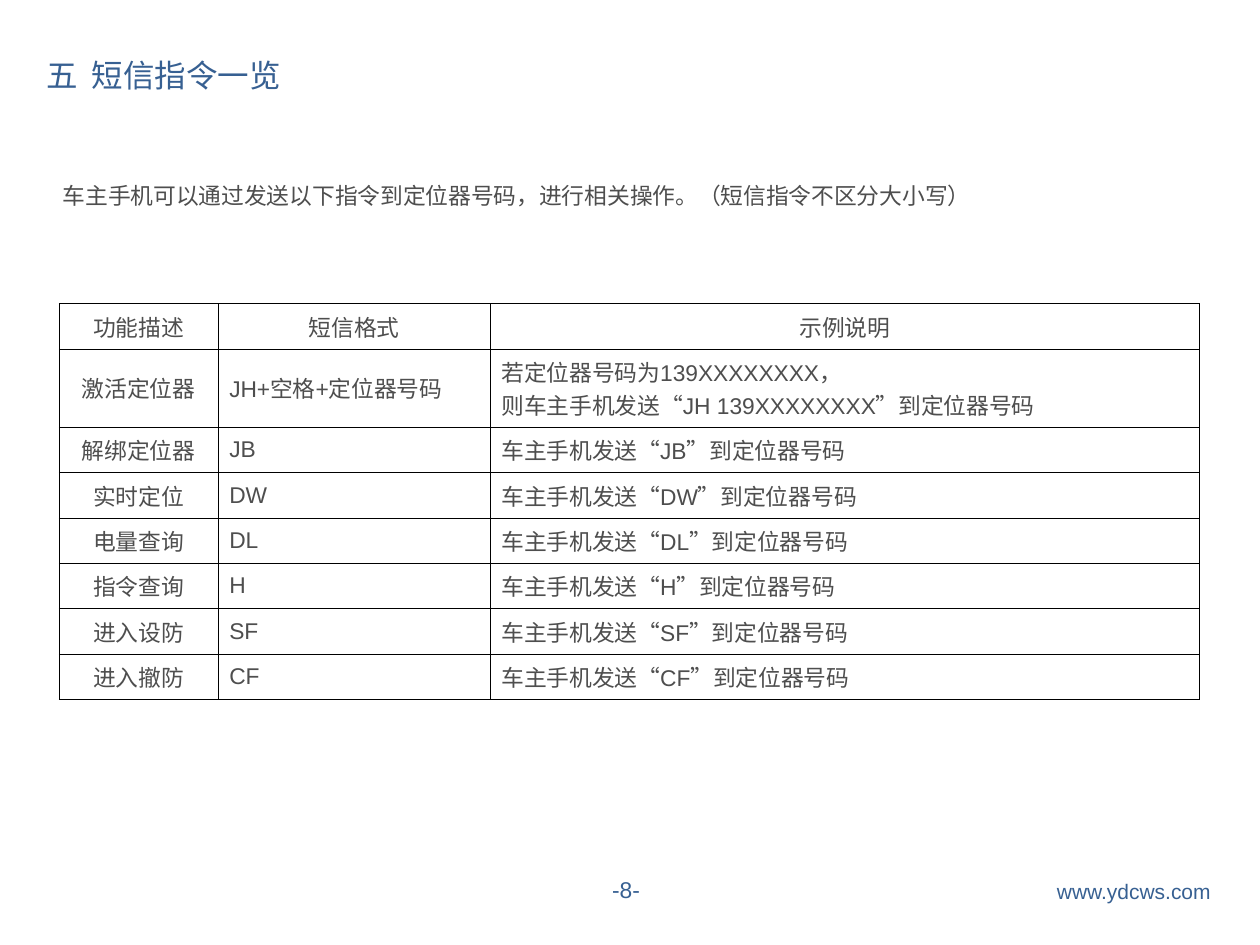
"""Build the slide listing the SMS commands of a vehicle locator."""
import pptx
import pptx.dml.color
import pptx.enum.text
import pptx.oxml
import pptx.oxml.ns
import pptx.util
from lxml import etree

Inches = pptx.util.Inches
ALIGN = pptx.enum.text.PP_ALIGN
ANCHOR = pptx.enum.text.MSO_ANCHOR
qn = pptx.oxml.ns.qn

THEME = {
    "latin": "Arial", "chinese": "Noto Sans CJK SC",
    "accent": "376092", "ink": "4E4E4E", "border": "000000",
    "title": 18, "body": 13, "link": 12, "border_width": 0.45,
}

TITLE = "五\t短信指令一览"
TITLE_TAB = 0.36
INTRO = "车主手机可以通过发送以下指令到定位器号码，进行相关操作。（短信指令不区分大小写）"
HEADER = ("功能描述", "短信格式", "示例说明")
ACTIVATION = (
    "激活定位器",
    "JH+空格+定位器号码",
    "若定位器号码为139XXXXXXXX，\n则车主手机发送“JH 139XXXXXXXX”到定位器号码",
)
COMMANDS = [
    ("解绑定位器", "JB"), ("实时定位", "DW"), ("电量查询", "DL"),
    ("指令查询", "H"), ("进入设防", "SF"), ("进入撤防", "CF"),
]
ROWS = [HEADER, ACTIVATION] + [
    (name, code, f"车主手机发送“{code}”到定位器号码") for name, code in COMMANDS
]
TABLE_LEFT, TABLE_TOP = 0.47, 2.41
COLUMN_WIDTHS = (1.26, 2.16, 5.63)
ROW_HEIGHT, TALL_ROW_HEIGHT = 0.35, 0.54

# text, left, top, width, height, font, size, colour, anchor, wraps
TEXTS = [
    (INTRO, 0.4, 1.39, 7.4, 0.32, "chinese", "body", "ink", ANCHOR.TOP, False),
    (TITLE, 0.27, 0.32, 3.39, 0.55, "chinese", "title", "accent", ANCHOR.MIDDLE, True),
    ("-8-", 4.76, 6.9, 0.42, 0.32, "latin", "body", "accent", ANCHOR.TOP, False),
    ("www.ydcws.com", 8.29, 6.92, 1.43, 0.3, "latin", "link", "accent", ANCHOR.TOP, False),
]


def style_text(frame, font, size, colour, align=ALIGN.LEFT):
    for para in frame.paragraphs:
        para.alignment = align
        for span in para.runs:
            span.font.size = pptx.util.Pt(THEME[size])
            span.font.name = THEME[font]
            span.font.color.rgb = pptx.dml.color.RGBColor.from_string(THEME[colour])
            east_asian = etree.SubElement(span.font._element, qn("a:ea"))
            east_asian.set("typeface", THEME["chinese"])


def add_text(page, text, left, top, width, height, font, size, colour, anchor, wraps):
    box = page.shapes.add_textbox(*map(Inches, (left, top, width, height)))
    frame = box.text_frame
    frame.word_wrap = wraps
    frame.vertical_anchor = anchor
    if not wraps:
        frame.auto_size = pptx.enum.text.MSO_AUTO_SIZE.SHAPE_TO_FIT_TEXT
    frame.text = text
    if "\t" in text:
        properties = frame.paragraphs[0]._p.get_or_add_pPr()
        tabs = etree.SubElement(properties, qn("a:tabLst"))
        etree.SubElement(tabs, qn("a:tab"), pos=str(Inches(TITLE_TAB)), algn="l")
    style_text(frame, font, size, colour)


def add_borders(cell):
    properties = cell._tc.get_or_add_tcPr()
    width = str(pptx.util.Pt(THEME["border_width"]))
    for side in ("a:lnL", "a:lnR", "a:lnT", "a:lnB"):
        line = etree.SubElement(properties, qn(side), w=width)
        fill = etree.SubElement(line, qn("a:solidFill"))
        etree.SubElement(fill, qn("a:srgbClr"), val=THEME["border"])


def add_command_table(page):
    heights = [TALL_ROW_HEIGHT if row is ACTIVATION else ROW_HEIGHT for row in ROWS]
    frame = page.shapes.add_table(
        len(ROWS), len(HEADER), Inches(TABLE_LEFT), Inches(TABLE_TOP),
        Inches(sum(COLUMN_WIDTHS)), Inches(sum(heights)),
    )
    table = frame.table
    table.first_row = table.horz_banding = False
    for column, width in zip(table.columns, COLUMN_WIDTHS):
        column.width = Inches(width)
    for row_index, (row, height) in enumerate(zip(ROWS, heights)):
        table.rows[row_index].height = Inches(height)
        for column_index, text in enumerate(row):
            cell = table.cell(row_index, column_index)
            add_borders(cell)
            cell.fill.background()
            cell.margin_left = cell.margin_right = Inches(0.09)
            cell.vertical_anchor = ANCHOR.MIDDLE
            cell.text_frame.text = text
            centred = row is HEADER or column_index == 0
            style_text(cell.text_frame, "latin", "body", "ink",
                       ALIGN.CENTER if centred else ALIGN.LEFT)


def main():
    deck = pptx.Presentation()
    deck.slide_width, deck.slide_height = Inches(10), Inches(7.5)
    page = deck.slides.add_slide(deck.slide_layouts[6])
    add_command_table(page)
    for entry in TEXTS:
        add_text(page, *entry)
    deck.save("out.pptx")


if __name__ == "__main__":
    main()
